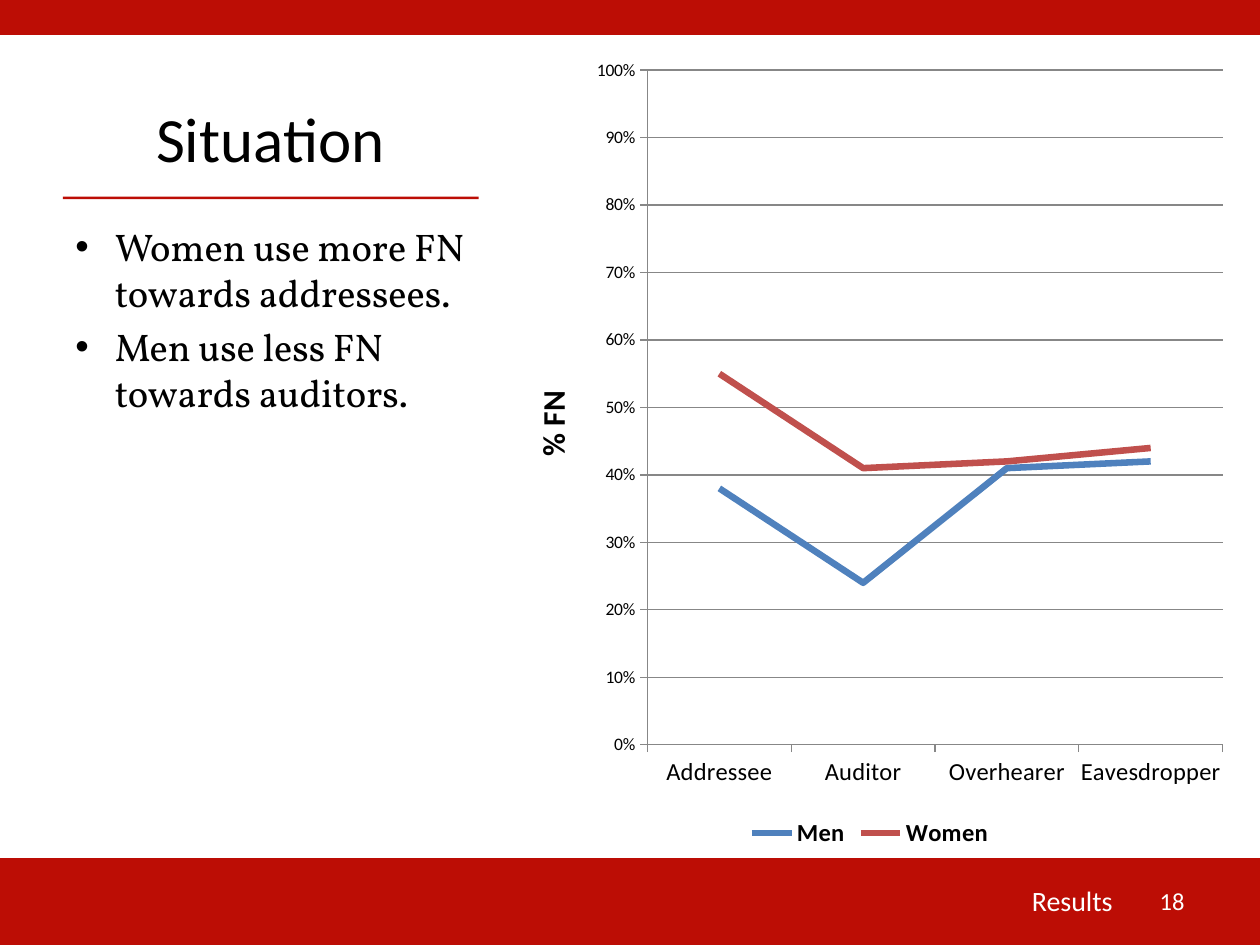
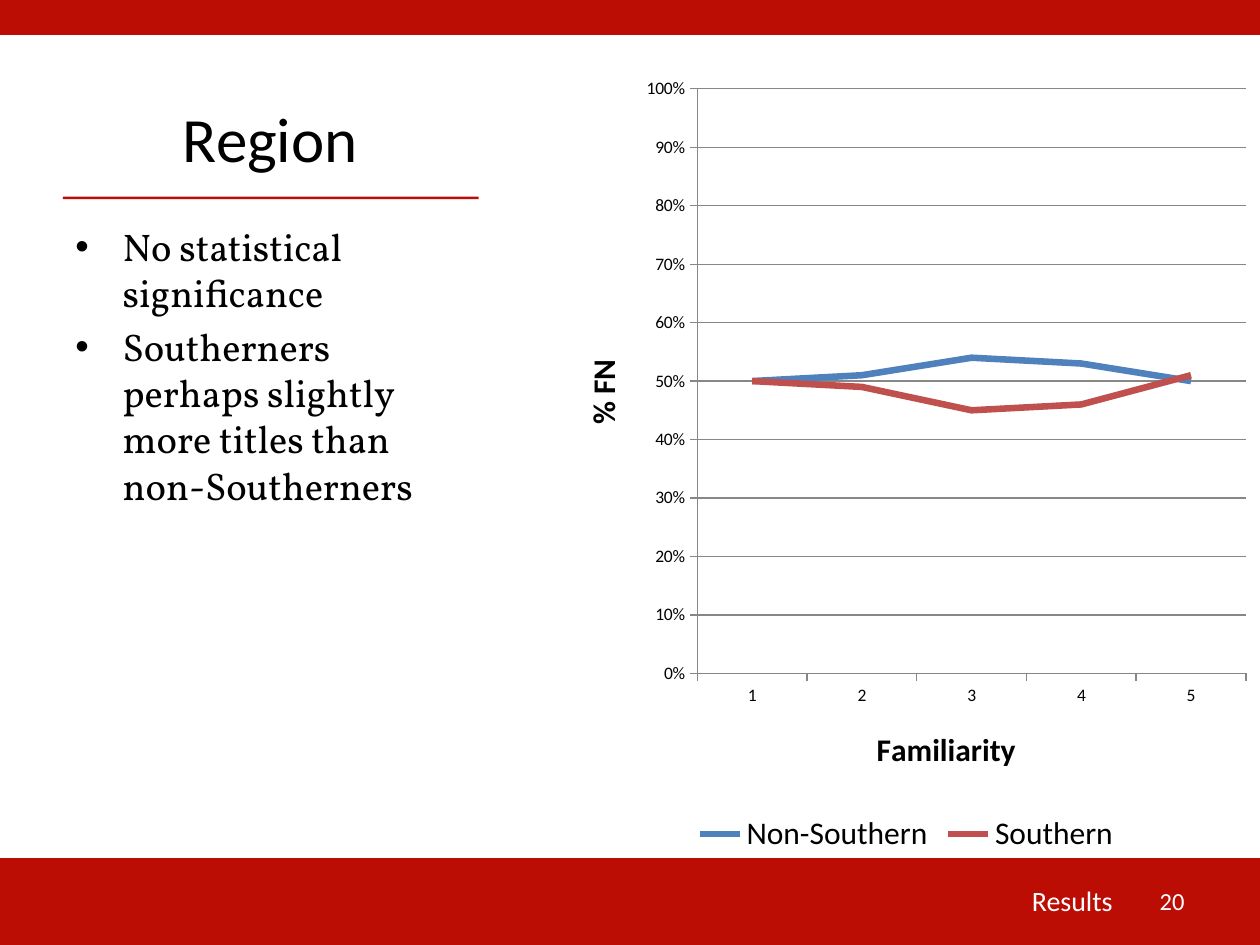
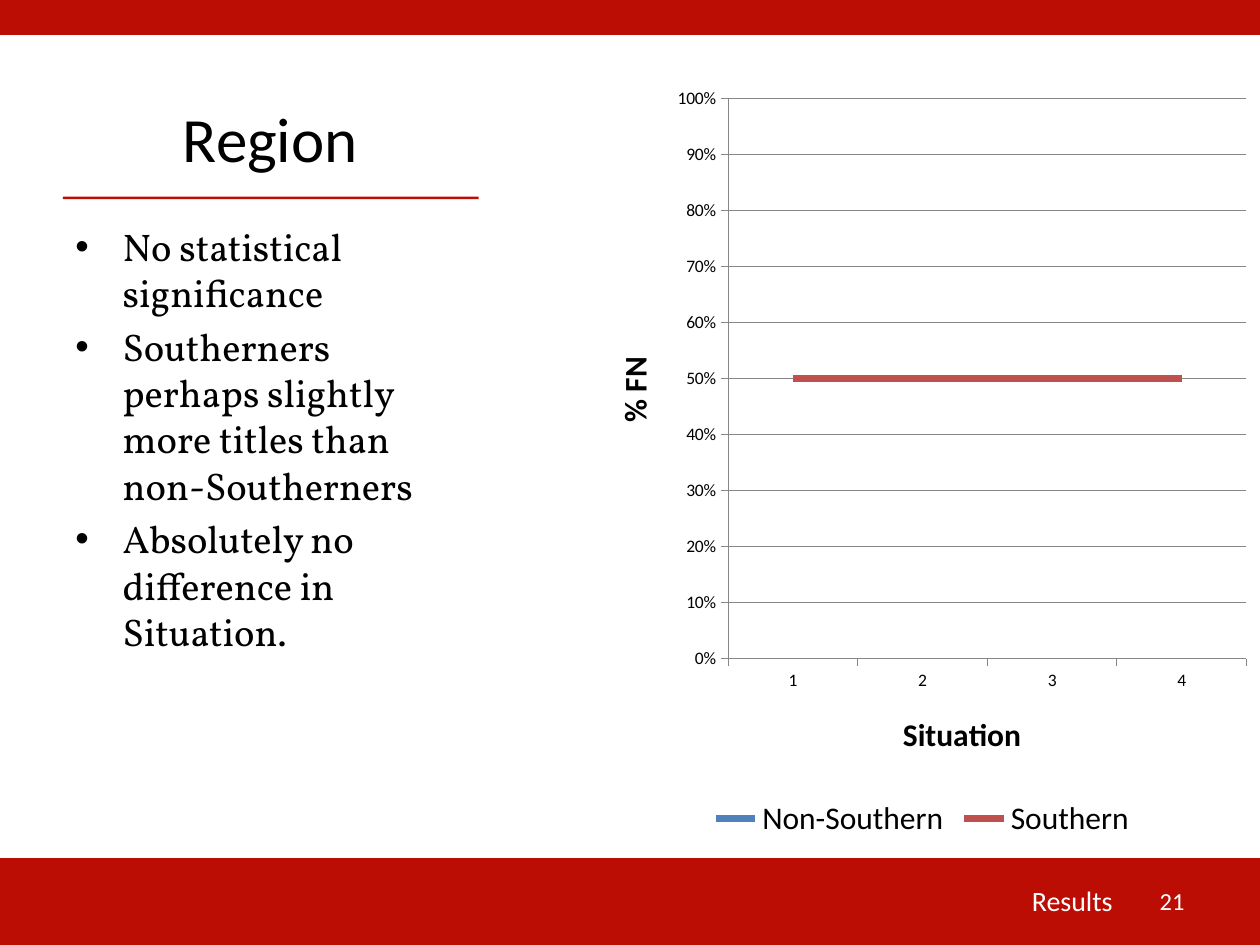
from lxml import etree
from pptx import Presentation
from pptx.chart.data import CategoryChartData
from pptx.dml.color import RGBColor
from pptx.enum.chart import XL_CHART_TYPE, XL_LEGEND_POSITION, XL_TICK_MARK
from pptx.enum.shapes import MSO_SHAPE
from pptx.enum.text import MSO_ANCHOR, PP_ALIGN
from pptx.oxml.ns import qn
from pptx.util import Pt

RECT = MSO_SHAPE.RECTANGLE
LINE = XL_CHART_TYPE.LINE
LEGEND_BOTTOM = XL_LEGEND_POSITION.BOTTOM
TICK_OUT, TICK_NONE = XL_TICK_MARK.OUTSIDE, XL_TICK_MARK.NONE
TOP, MIDDLE, BOTTOM = MSO_ANCHOR.TOP, MSO_ANCHOR.MIDDLE, MSO_ANCHOR.BOTTOM
LEFT, CENTER, RIGHT = PP_ALIGN.LEFT, PP_ALIGN.CENTER, PP_ALIGN.RIGHT

RED = RGBColor(0xBC, 0x0D, 0x05)
BLACK = RGBColor(0x00, 0x00, 0x00)
WHITE = RGBColor(0xFF, 0xFF, 0xFF)
GRID = RGBColor(0x87, 0x87, 0x87)
SERIES_COLORS = (RGBColor(0x4F, 0x81, 0xBD), RGBColor(0xC0, 0x50, 0x4D))

SANS, SERIF = "Calibri", "Vollkorn"
SLIDE_W, SLIDE_H = 720, 540
TOP_BAND_H, FOOTER_H = 20, 49.68

# Boxes are left, top, width, height in points
FOOTER_BOX = (0, SLIDE_H - FOOTER_H, SLIDE_W, FOOTER_H)
TEXT_BOX = (36, 21.6, 237, 460.8)

REGION_POINTS = [
    "No statistical significance",
    "Southerners perhaps slightly more titles than non-Southerners",
]
SLIDES = [
    dict(title="Situation", number=18, indent=22.5,
         points=["Women use more FN towards addressees.",
                 "Men use less FN towards auditors."],
         box=(287.28, 25.2, 419.76, 462.24),
         chart=dict(cats=["Addressee", "Auditor", "Overhearer", "Eavesdropper"],
                    series={"Men": (0.38, 0.24, 0.41, 0.42),
                            "Women": (0.55, 0.41, 0.42, 0.44)},
                    cat_size=14, legend_size=14, legend_bold=True)),
    dict(title="Region", number=20, indent=27, points=REGION_POINTS,
         box=(316.08, 36, 403.92, 455.04),
         chart=dict(cats=["1", "2", "3", "4", "5"],
                    series={"Non-Southern": (0.5, 0.51, 0.54, 0.53, 0.5),
                            "Southern": (0.5, 0.49, 0.45, 0.46, 0.51)},
                    cat_title="Familiarity")),
    dict(title="Region", number=21, indent=27,
         points=REGION_POINTS + ["Absolutely no difference in Situation."],
         box=(334.08, 41.76, 385.92, 440.64),
         chart=dict(cats=["1", "2", "3", "4"],
                    series={"Non-Southern": (0.5,) * 4, "Southern": (0.5,) * 4},
                    cat_title="Situation")),
]


def style_font(font, size, color=BLACK, name=SANS, bold=False):
    font.size, font.name, font.bold = Pt(size), name, bold
    font.color.rgb = color


def add_band(s, x, y, w, h):
    sp = s.shapes.add_shape(RECT, Pt(x), Pt(y), Pt(w), Pt(h))
    sp.shadow.inherit = False
    sp.fill.solid()
    sp.fill.fore_color.rgb = RED
    sp.line.fill.background()


def add_text(s, box, lines, size, color=BLACK, name=SANS, align=LEFT, anchor=TOP):
    tf = s.shapes.add_textbox(*map(Pt, box)).text_frame
    tf.word_wrap = True
    tf.vertical_anchor = anchor
    tf.text = "\n".join(lines)
    for p in tf.paragraphs:
        p.alignment = align
        for r in p.runs:
            style_font(r.font, size, color, name)
    return tf


def add_bullet(p, indent):
    p.space_before = Pt(4.4)
    pPr = p._p.get_or_add_pPr()
    pPr.set("marL", str(Pt(indent)))
    pPr.set("indent", str(-Pt(indent)))
    etree.SubElement(pPr, qn("a:buFont"), typeface="Arial")
    etree.SubElement(pPr, qn("a:buChar"), char="•")


def add_footer(s, box, section, number):
    x, y, w, h = box
    add_band(s, x, y, w, h)
    add_text(s, (x + 414.72, y + 10, 228.24, 28.8), [section], 16, WHITE,
             align=RIGHT, anchor=MIDDLE)
    add_text(s, (x + 645.84, y + 10, 38.16, 28.8), [str(number)], 14, WHITE,
             align=RIGHT, anchor=MIDDLE)


def add_text_column(s, box, title, points, indent):
    x, y, w, h = box
    add_text(s, (x, y, w, 82), [title], 36, align=CENTER, anchor=BOTTOM)
    add_band(s, x, y + 90.7, w + 0.6, 1.5)
    tf = add_text(s, (x, y + 102.24, w, h - 102.24), points, 22, name=SERIF)
    for p in tf.paragraphs:
        add_bullet(p, indent)


def style_axis(axis, size, title=None):
    axis.major_tick_mark, axis.minor_tick_mark = TICK_OUT, TICK_NONE
    axis.format.line.color.rgb = GRID
    axis.format.line.width = Pt(0.75)
    style_font(axis.tick_labels.font, size)
    axis.has_title = title is not None
    if title:
        tf = axis.axis_title.text_frame
        tf.text = title
        style_font(tf.paragraphs[0].runs[0].font, 18, bold=True)


def add_line_chart(s, box, cats, series, cat_title=None, cat_size=10,
                   legend_size=18, legend_bold=False):
    data = CategoryChartData(number_format="0%")
    data.categories = cats
    for name, values in series.items():
        data.add_series(name, values)
    chart = s.shapes.add_chart(LINE, *map(Pt, box), data).chart
    style_font(chart.font, 10)
    chart.has_title = False

    # Axes and grid
    style_axis(chart.category_axis, cat_size, cat_title)
    axis = chart.value_axis
    style_axis(axis, 10, "% FN")
    axis.minimum_scale, axis.maximum_scale, axis.major_unit = 0, 1, 0.1
    axis.tick_labels.number_format = "0%"
    axis.tick_labels.number_format_is_linked = False
    axis.has_major_gridlines = True
    axis.major_gridlines.format.line.color.rgb = GRID
    axis.major_gridlines.format.line.width = Pt(0.75)

    # Legend
    chart.has_legend = True
    chart.legend.position = LEGEND_BOTTOM
    chart.legend.include_in_layout = False
    style_font(chart.legend.font, legend_size, bold=legend_bold)

    # Lines
    plot = chart.plots[0]
    plot.vary_by_categories = False
    for line, color in zip(plot.series, SERIES_COLORS):
        line.smooth = False
        line.format.line.color.rgb = color
        line.format.line.width = Pt(3.75)


def add_result_slide(prs, title, number, indent, points, box, chart):
    s = prs.slides.add_slide(prs.slide_layouts[6])
    add_band(s, 0, 0, SLIDE_W, TOP_BAND_H)
    add_footer(s, FOOTER_BOX, "Results", number)
    add_text_column(s, TEXT_BOX, title, points, indent)
    add_line_chart(s, box, **chart)


def main():
    prs = Presentation()
    prs.slide_width, prs.slide_height = Pt(SLIDE_W), Pt(SLIDE_H)
    for slide in SLIDES:
        add_result_slide(prs, **slide)
    prs.save("out.pptx")


if __name__ == "__main__":
    main()
